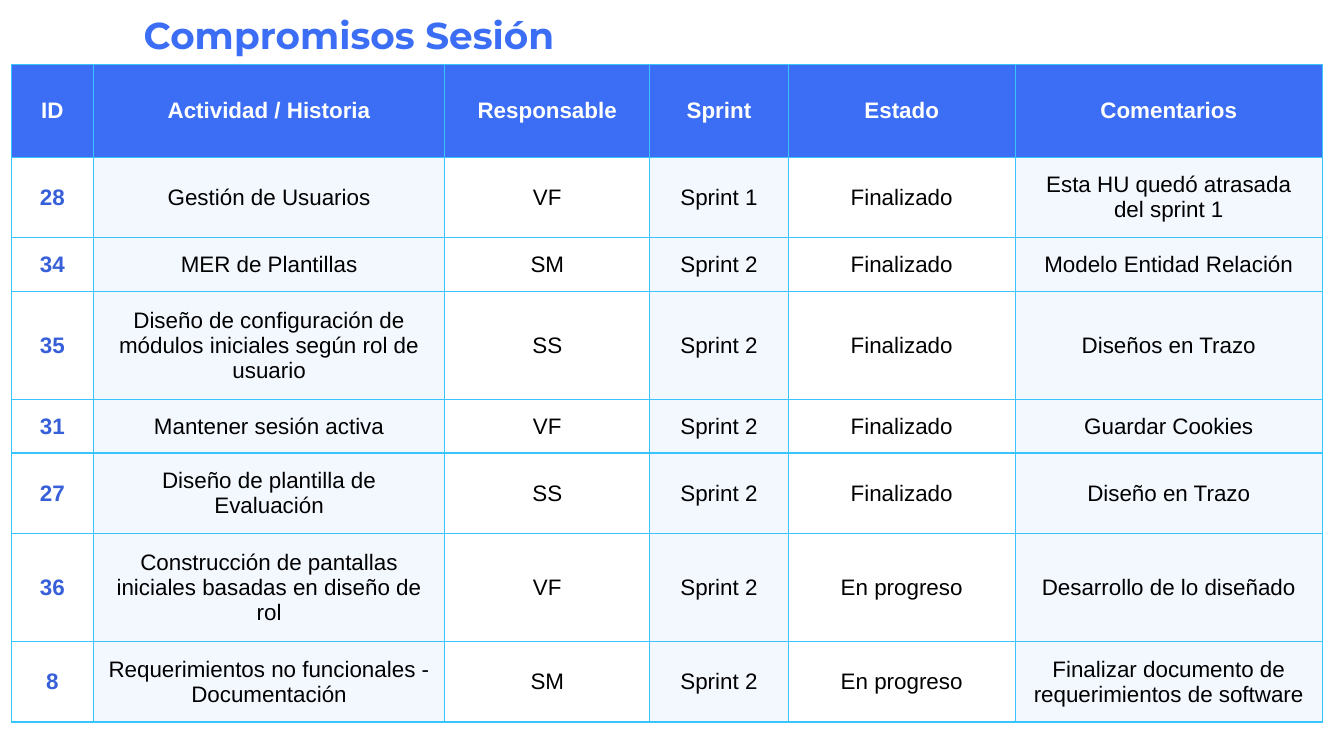
import dataclasses

import lxml.etree
import pptx
import pptx.dml.color
import pptx.enum.text
import pptx.oxml.ns
import pptx.util

PX = 4572


@dataclasses.dataclass(frozen=True)
class Theme:
    """Colours, fonts and sizes shared by the slide."""
    blue: str = "3B6EF5"
    id_blue: str = "375FD8"
    border: str = "39C4FF"
    tint: str = "F3F8FF"
    white: str = "FFFFFF"
    black: str = "000000"
    title_font: str = "Montserrat"
    body_font: str = "Arial"
    title_size: int = 20
    body_size: int = 12
    border_width: float = 0.75
    margin: int = 20


THEME = Theme()
COLUMN_WIDTHS = [122, 523, 305, 206, 338, 457]
ROW_HEIGHTS = [138, 50, 0, 116, 78, 90, 104, 78]
TINTED_COLUMNS = {1, 3, 5}
HEADINGS = ["ID", "Actividad / Historia", "Responsable", "Sprint", "Estado", "Comentarios"]
COMMITMENTS = [
    ["28", "Gestión de Usuarios", "VF", "Sprint 1", "Finalizado",
     "Esta HU quedó atrasada del sprint 1"],
    ["34", "MER de Plantillas", "SM", "Sprint 2", "Finalizado", "Modelo Entidad Relación"],
    ["35", "Diseño de configuración de módulos iniciales según rol de usuario", "SS",
     "Sprint 2", "Finalizado", "Diseños en Trazo"],
    ["31", "Mantener sesión activa", "VF", "Sprint 2", "Finalizado", "Guardar Cookies"],
    ["27", "Diseño de plantilla de Evaluación", "SS", "Sprint 2", "Finalizado",
     "Diseño en Trazo"],
    ["36", "Construcción de pantallas iniciales basadas en diseño de rol", "VF",
     "Sprint 2", "En progreso", "Desarrollo de lo diseñado"],
    ["8", "Requerimientos no funcionales - Documentación", "SM", "Sprint 2", "En progreso",
     "Finalizar documento de requerimientos de software"],
]


def rgb(value):
    """Return a colour object for a hex value."""
    return pptx.dml.color.RGBColor.from_string(value)


def set_margins(target):
    """Give a cell or text frame the same margin on every side."""
    target.margin_left = target.margin_right = THEME.margin * PX
    target.margin_top = target.margin_bottom = THEME.margin * PX


def style_text(paragraph, font_name, size, colour, bold):
    """Format every run of a paragraph."""
    for run in paragraph.runs:
        run.font.name = font_name
        run.font.size = pptx.util.Pt(size)
        run.font.color.rgb = rgb(colour)
        run.font.bold = bold


def add_borders(cell):
    """Draw the four borders of a table cell."""
    qn = pptx.oxml.ns.qn
    properties = cell._tc.get_or_add_tcPr()
    for side in ("lnL", "lnR", "lnT", "lnB"):
        line = lxml.etree.SubElement(properties, qn(f"a:{side}"),
                                     w=str(pptx.util.Pt(THEME.border_width)))
        fill = lxml.etree.SubElement(line, qn("a:solidFill"))
        lxml.etree.SubElement(fill, qn("a:srgbClr"), val=THEME.border)


def fill_cell(cell, text, background, colour, bold):
    """Write and format one table cell, unfilled when background is None."""
    cell.text_frame.text = text
    cell.vertical_anchor = pptx.enum.text.MSO_ANCHOR.MIDDLE
    set_margins(cell)
    add_borders(cell)
    if background:
        cell.fill.solid()
        cell.fill.fore_color.rgb = rgb(background)
    else:
        cell.fill.background()
    paragraph = cell.text_frame.paragraphs[0]
    paragraph.alignment = pptx.enum.text.PP_ALIGN.CENTER
    style_text(paragraph, THEME.body_font, THEME.body_size, colour, bold)


def add_title(slide, left, top, width, height):
    """Place the slide title in the given box."""
    title = slide.shapes.add_textbox(left * PX, top * PX, width * PX, height * PX).text_frame
    title.word_wrap = True
    title.vertical_anchor = pptx.enum.text.MSO_ANCHOR.BOTTOM
    set_margins(title)
    title.text = "Compromisos Sesión"
    style_text(title.paragraphs[0], THEME.title_font, THEME.title_size, THEME.blue, True)


def add_commitments(slide, left, top):
    """Place the commitments table with its corner at the given point."""
    commitments = slide.shapes.add_table(
        len(ROW_HEIGHTS), len(COLUMN_WIDTHS), left * PX, top * PX,
        sum(COLUMN_WIDTHS) * PX, sum(ROW_HEIGHTS) * PX).table
    commitments.first_row = False
    commitments.horz_banding = False
    for column, width in zip(commitments.columns, COLUMN_WIDTHS):
        column.width = width * PX
    for row, height in zip(commitments.rows, ROW_HEIGHTS):
        row.height = height * PX
    for column, heading in enumerate(HEADINGS):
        fill_cell(commitments.cell(0, column), heading, THEME.blue, THEME.white, True)
    for row, entries in enumerate(COMMITMENTS, start=1):
        for column, entry in enumerate(entries):
            is_id = column == 0
            fill_cell(commitments.cell(row, column), entry,
                      THEME.tint if column in TINTED_COLUMNS else None,
                      THEME.id_blue if is_id else THEME.black, is_id)


def main():
    """Build and save the presentation."""
    presentation = pptx.Presentation()
    presentation.slide_width = 2000 * PX
    presentation.slide_height = 1125 * PX
    slide = presentation.slides.add_slide(presentation.slide_layouts[6])
    add_title(slide, 194, 29, 918, 76)
    add_commitments(slide, 17, 96)
    presentation.save("out.pptx")


if __name__ == "__main__":
    main()
